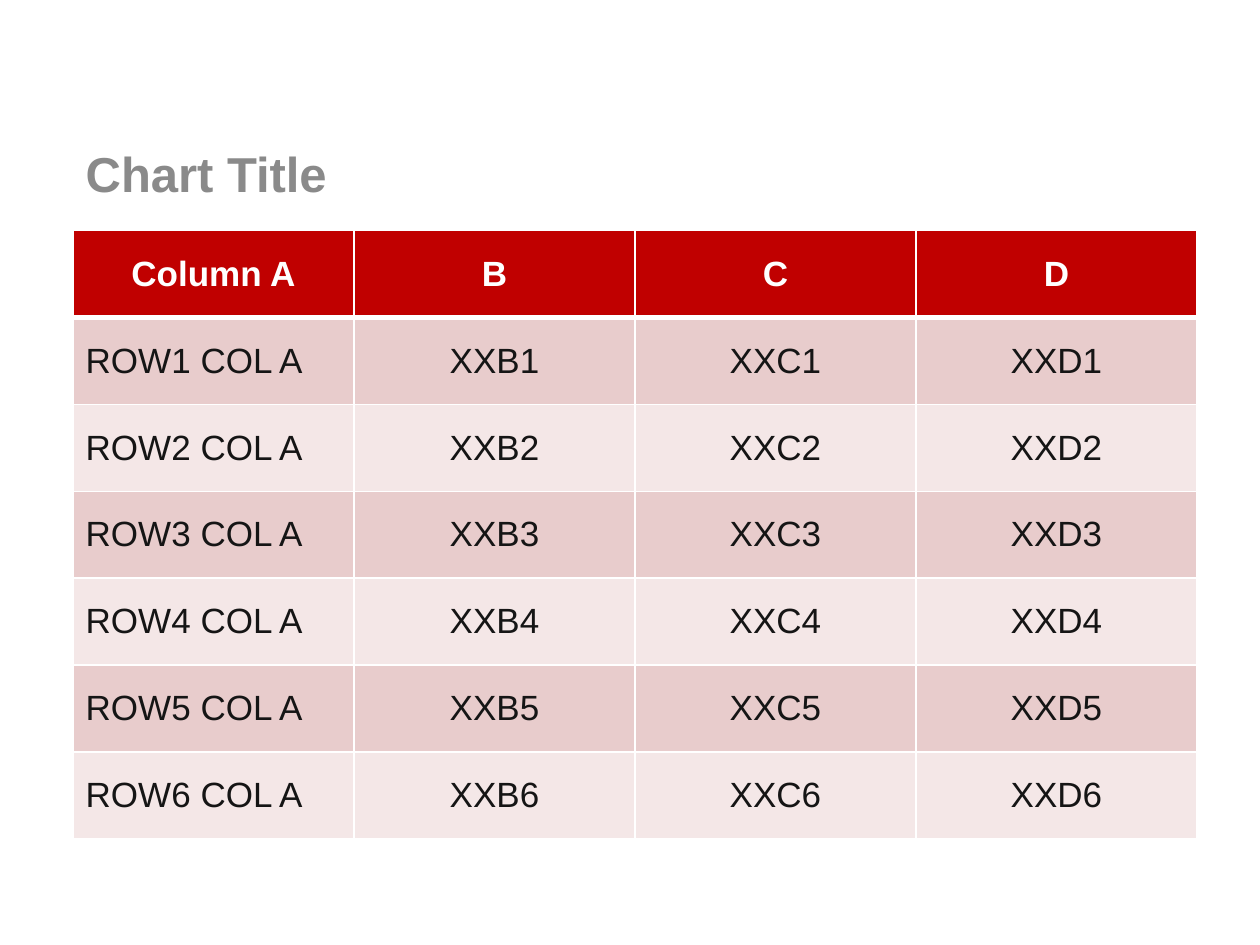
"""Build a slide with a titled table of four columns and six banded rows."""
from lxml import etree
from pptx import Presentation
from pptx.dml.color import RGBColor
from pptx.enum.text import MSO_ANCHOR, PP_ALIGN
from pptx.oxml.ns import qn
from pptx.util import Inches, Pt

MIDDLE = MSO_ANCHOR.MIDDLE
LEFT, CENTER = PP_ALIGN.LEFT, PP_ALIGN.CENTER

TITLE = "Chart Title"
HEADINGS = ["Column A", "B", "C", "D"]
ROWS = [
    ["ROW1 COL A", "XXB1", "XXC1", "XXD1"],
    ["ROW2 COL A", "XXB2", "XXC2", "XXD2"],
    ["ROW3 COL A", "XXB3", "XXC3", "XXD3"],
    ["ROW4 COL A", "XXB4", "XXC4", "XXD4"],
    ["ROW5 COL A", "XXB5", "XXC5", "XXD5"],
    ["ROW6 COL A", "XXB6", "XXC6", "XXD6"],
]
COLORS = {
    "title": "8A8A8A",
    "header": "C00000",
    "header_text": "FFFFFF",
    "odd": "E8CCCC",
    "even": "F4E7E7",
    "text": "151515",
    "border": "FFFFFF",
}
FONT = "Arial"
MARGIN, WIDTH = 0.58, 8.92
TITLE_TOP, TITLE_HEIGHT = 1.08, 0.58
TABLE_TOP, ROW_HEIGHT = 1.83, 0.69


def write(frame, text, size, color, bold, align):
    paragraph = frame.paragraphs[0]
    paragraph.alignment = align
    run = paragraph.add_run()
    run.text = text
    run.font.name = FONT
    run.font.size = Pt(size)
    run.font.bold = bold
    run.font.color.rgb = RGBColor.from_string(color)


def set_borders(cell, widths):
    properties = cell._tc.get_or_add_tcPr()
    for side, width in widths.items():
        line = etree.SubElement(properties, qn(f"a:ln{side}"), w=str(Pt(width)))
        fill = etree.SubElement(line, qn("a:solidFill"))
        etree.SubElement(fill, qn("a:srgbClr"), val=COLORS["border"])


def add_title(slide):
    title = slide.shapes.title
    title.left, title.top = Inches(MARGIN), Inches(TITLE_TOP)
    title.width, title.height = Inches(WIDTH), Inches(TITLE_HEIGHT)
    title.text_frame.vertical_anchor = MIDDLE
    write(title.text_frame, TITLE, 28, COLORS["title"], True, LEFT)


def add_grid(slide):
    records = [HEADINGS] + ROWS
    table = slide.shapes.add_table(
        len(records), len(HEADINGS), Inches(MARGIN), Inches(TABLE_TOP),
        Inches(WIDTH), Inches(ROW_HEIGHT * len(records))).table
    for column in table.columns:
        column.width = Inches(WIDTH / len(HEADINGS))
    for r, record in enumerate(records):
        table.rows[r].height = Inches(ROW_HEIGHT)
        is_header = r == 0
        band = "header" if is_header else "odd" if r % 2 else "even"
        ink = COLORS["header_text" if is_header else "text"]
        borders = {"L": 1, "R": 1, "T": 3 if r == 1 else 1, "B": 3 if is_header else 1}
        for c, text in enumerate(record):
            cell = table.cell(r, c)
            cell.vertical_anchor = MIDDLE
            set_borders(cell, borders)
            cell.fill.solid()
            cell.fill.fore_color.rgb = RGBColor.from_string(COLORS[band])
            align = LEFT if c == 0 and not is_header else CENTER
            write(cell.text_frame, text, 20, ink, is_header, align)


def main():
    deck = Presentation()
    deck.slide_width, deck.slide_height = Inches(10), Inches(7.5)
    slide = deck.slides.add_slide(deck.slide_layouts[5])
    add_title(slide)
    add_grid(slide)
    deck.save("out.pptx")


if __name__ == "__main__":
    main()
